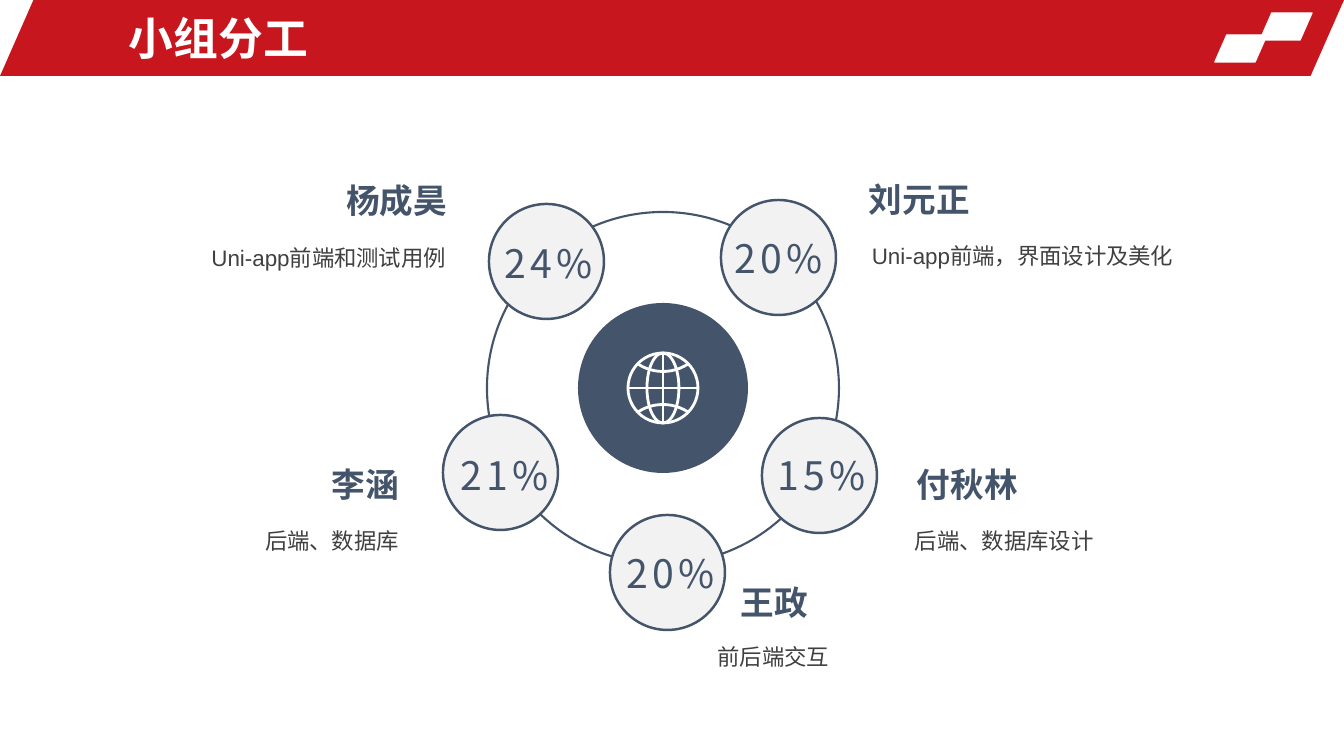
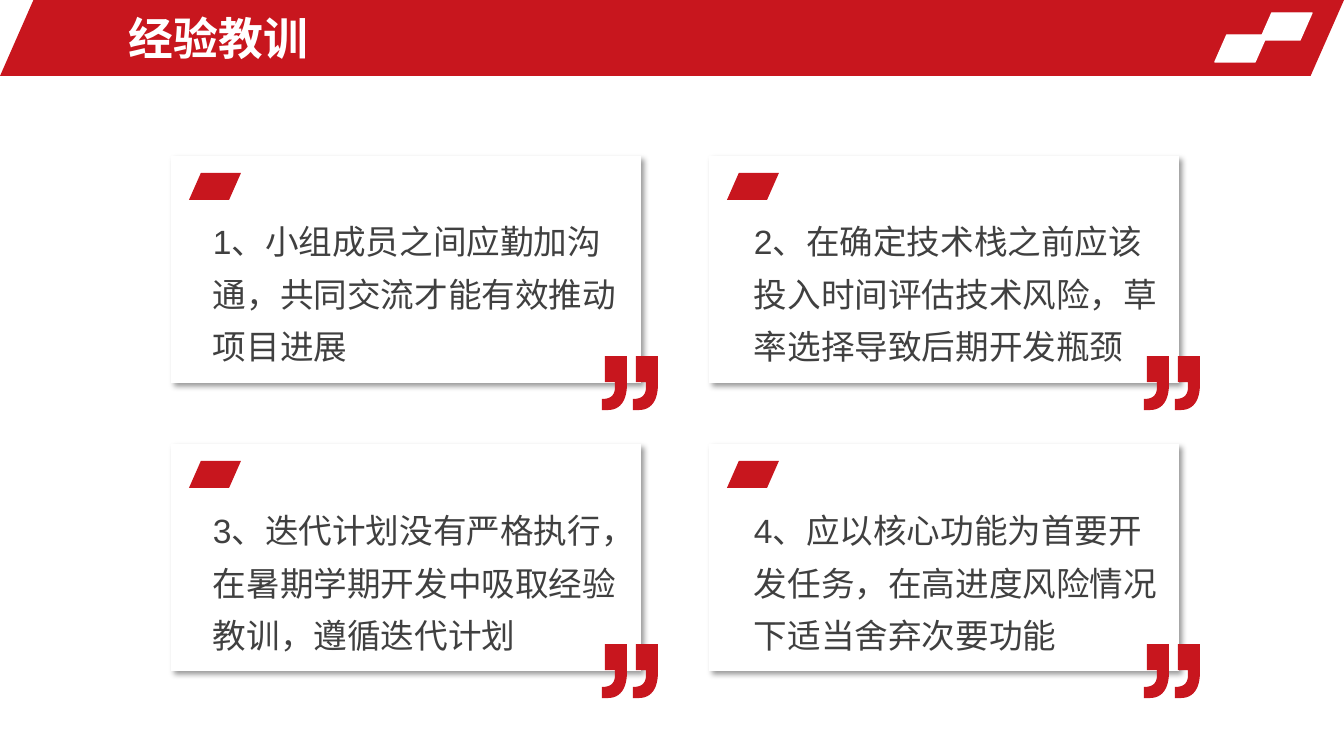
import lxml.etree
import pptx
import pptx.dml.color
import pptx.enum.shapes
import pptx.enum.text
import pptx.oxml.ns
import pptx.util

SHAPE = pptx.enum.shapes.MSO_SHAPE
ALIGN = pptx.enum.text.PP_ALIGN
ANCHOR = pptx.enum.text.MSO_ANCHOR
qn = pptx.oxml.ns.qn

PX = 914400 / 100.8
RED, NAVY, GREY, PALE, WHITE = "C8161E", "44546A", "404040", "F2F2F2", "FFFFFF"
LATIN, CJK = "Arial", "Noto Sans CJK SC"


def px(length):
    return pptx.util.Emu(round(length * PX))


def rgb(value):
    return pptx.dml.color.RGBColor.from_string(value)


def bezier(p0, p1, p2, p3, steps=12):
    """Points along a cubic curve, without its start."""
    points = []
    for step in range(1, steps + 1):
        t = step / steps
        weights = ((1 - t) ** 3, 3 * t * (1 - t) ** 2, 3 * t * t * (1 - t), t ** 3)
        points.append(tuple(sum(w * p[axis] for w, p in zip(weights, (p0, p1, p2, p3)))
                            for axis in (0, 1)))
    return points


class Deck:
    """The shared style and the slide being drawn."""

    def __init__(self):
        self.prs = pptx.Presentation()
        self.prs.slide_width, self.prs.slide_height = px(1344), px(756)
        self.slide = None

    def new_slide(self, title):
        self.slide = self.prs.slides.add_slide(self.prs.slide_layouts[6])
        self.slanted(0, 0, 1344, 76, RED)
        for x, y in ((1260, 13), (1215, 35)):
            self.slanted(x, y, 52, 27, WHITE, WHITE)
        self.text(119, 5, 780, 66, title, 32, WHITE, bold=True, anchor=ANCHOR.MIDDLE)

    def paint(self, shape, fill=None, line=None, width=1):
        shape.shadow.inherit = False
        if fill:
            shape.fill.solid()
            shape.fill.fore_color.rgb = rgb(fill)
        else:
            shape.fill.background()
        if line:
            shape.line.color.rgb = rgb(line)
            shape.line.width = pptx.util.Pt(width)
        else:
            shape.line.fill.background()
        return shape

    def shape(self, kind, x, y, w, h, fill=None, line=None, width=1):
        shape = self.slide.shapes.add_shape(kind, px(x), px(y), px(w), px(h))
        return self.paint(shape, fill, line, width)

    def slanted(self, x, y, w, h, fill, line=None):
        self.shape(SHAPE.PARALLELOGRAM, x, y, w, h, fill, line).adjustments[0] = 0.44

    def circle(self, x, y, size, fill=None, line=None, width=1):
        self.shape(SHAPE.OVAL, x, y, size, size, fill, line, width)

    def line(self, x1, y1, x2, y2, color, width):
        line = self.slide.shapes.add_connector(
            pptx.enum.shapes.MSO_CONNECTOR.STRAIGHT, px(x1), px(y1), px(x2), px(y2))
        line.line.color.rgb = rgb(color)
        line.line.width = pptx.util.Pt(width)
        lxml.etree.SubElement(line._element.spPr, qn("a:effectLst"))

    def outline(self, contours, fill=None, line=None, width=1):
        """Freeform through lists of points; closed when it has a fill."""
        contours = [[(px(x), px(y)) for x, y in points] for points in contours]
        builder = self.slide.shapes.build_freeform(*contours[0][0], scale=1.0)
        for index, points in enumerate(contours):
            if index:
                builder.move_to(*points[0])
            builder.add_line_segments(points[1:], close=bool(fill))
        self.paint(builder.convert_to_shape(), fill, line, width)

    def text(self, x, y, w, h, content, size, color, font=LATIN, bold=False,
             align=ALIGN.LEFT, spacing=1.0, tracking=0, anchor=ANCHOR.TOP):
        frame = self.slide.shapes.add_textbox(px(x), px(y), px(w), px(h)).text_frame
        frame.word_wrap = True
        frame.vertical_anchor = anchor
        paragraph = frame.paragraphs[0]
        paragraph.alignment = align
        paragraph.line_spacing = spacing
        run = paragraph.add_run()
        run.text = content
        paragraph.font.name = font
        paragraph.font.size = pptx.util.Pt(size)
        paragraph.font.bold = bold
        paragraph.font.color.rgb = rgb(color)
        # East Asian font and letter spacing
        props = run._r.get_or_add_rPr()
        props.set("lang", "zh-CN")
        if tracking:
            props.set("spc", str(tracking * 100))
        lxml.etree.SubElement(props, qn("a:ea"), typeface=CJK)

    def card(self, x, y, w, h):
        card = self.shape(SHAPE.RECTANGLE, x, y, w, h, WHITE)
        effects = card._element.spPr.find(qn("a:effectLst"))
        shadow = lxml.etree.SubElement(
            effects, qn("a:outerShdw"), blurRad=str(pptx.util.Pt(4)),
            dist=str(pptx.util.Pt(3)), dir="2700000", algn="tl", rotWithShape="0")
        black = lxml.etree.SubElement(shadow, qn("a:srgbClr"), val="000000")
        lxml.etree.SubElement(black, qn("a:alpha"), val="40000")
        self.slanted(x + 18, y + 17, 52, 27, RED)

    def globe(self, cx, cy, radius):
        self.circle(cx - radius, cy - radius, 2 * radius, None, WHITE, 2)
        self.shape(SHAPE.OVAL, cx - 16, cy - radius, 32, 2 * radius, None, WHITE, 2)
        self.line(cx - radius, cy, cx + radius, cy, WHITE, 2)
        self.line(cx, cy - radius, cx, cy + radius, WHITE, 2)
        for side in (-1, 1):
            end, bend = cy + side * 24, cy + side * 14
            start = (cx - 25, end)
            latitude = bezier(start, (cx - 10, bend), (cx + 10, bend), (cx + 25, end))
            self.outline([[start] + latitude], None, WHITE, 2)

    def closing_quote(self, x, y):
        mark = [(25, 0), (25, 28), *bezier((25, 28), (25, 45), (18, 54), (6, 54)),
                (0, 54), (0, 43), *bezier((0, 43), (9, 43), (13, 39), (13, 31)),
                (13, 26), (3, 26), (3, 0)]
        self.outline([[(x + shift + dx, y + dy) for dx, dy in mark] for shift in (0, 31)],
                     RED)


# Circle, share, its place; name, its place and width; role, its place; alignment
MEMBERS = [
    ((489, 204), "24%", (495, 234), "杨成昊", (168, 175, 289),
     "Uni-app前端和测试用例", (54, 234), ALIGN.RIGHT),
    ((721, 200), "20%", (725, 229), "刘元正", (859, 174, 124),
     "Uni-app前端，界面设计及美化", (862, 232), ALIGN.LEFT),
    ((443, 415), "21%", (451, 446), "李涵", (120, 459, 289),
     "后端、数据库", (7, 517), ALIGN.RIGHT),
    ((762, 418), "15%", (768, 446), "付秋林", (907, 459, 124),
     "后端、数据库设计", (905, 517), ALIGN.LEFT),
    ((610, 515), "20%", (617, 544), "王政", (529, 577, 289),
     "前后端交互", (437, 633), ALIGN.RIGHT),
]

LESSONS = [
    "1、小组成员之间应勤加沟通，共同交流才能有效推动项目进展",
    "2、在确定技术栈之前应该投入时间评估技术风险，草率选择导致后期开发瓶颈",
    "3、迭代计划没有严格执行，在暑期学期开发中吸取经验教训，遵循迭代计划",
    "4、应以核心功能为首要开发任务，在高进度风险情况下适当舍弃次要功能",
]
# Left edges of card, text and quote; then top edges of card and text
COLUMNS = [(171, 203, 602), (709, 744, 1144)]
ROWS = [(156, 204), (444, 493)]


def team_slide(deck):
    deck.new_slide("小组分工")
    # Hub and orbit
    deck.circle(578, 303, 170, NAVY)
    deck.circle(487, 212, 352, None, NAVY, 1.5)
    deck.globe(663, 388, 35)
    # Members around the orbit
    for spot, share, share_at, name, (x, y, w), role, role_at, align in MEMBERS:
        deck.circle(*spot, 115, PALE, NAVY, 1.75)
        deck.text(*share_at, 131, 57, share, 28, NAVY, CJK, tracking=3)
        deck.text(x, y, w, 50, name, 24, NAVY, bold=True, align=align)
        deck.text(*role_at, 402, 40, role, 16, GREY, align=align, spacing=1.2)


def lessons_slide(deck):
    deck.new_slide("经验教训")
    for index, lesson in enumerate(LESSONS):
        card_x, text_x, quote_x = COLUMNS[index % 2]
        card_y, text_y = ROWS[index // 2]
        deck.card(card_x, card_y, 470, 227)
        deck.text(text_x, text_y, 427, 163, lesson, 24, GREY, spacing=1.3)
        deck.closing_quote(quote_x, card_y + 200)


def main():
    deck = Deck()
    team_slide(deck)
    lessons_slide(deck)
    deck.prs.save("out.pptx")


if __name__ == "__main__":
    main()
